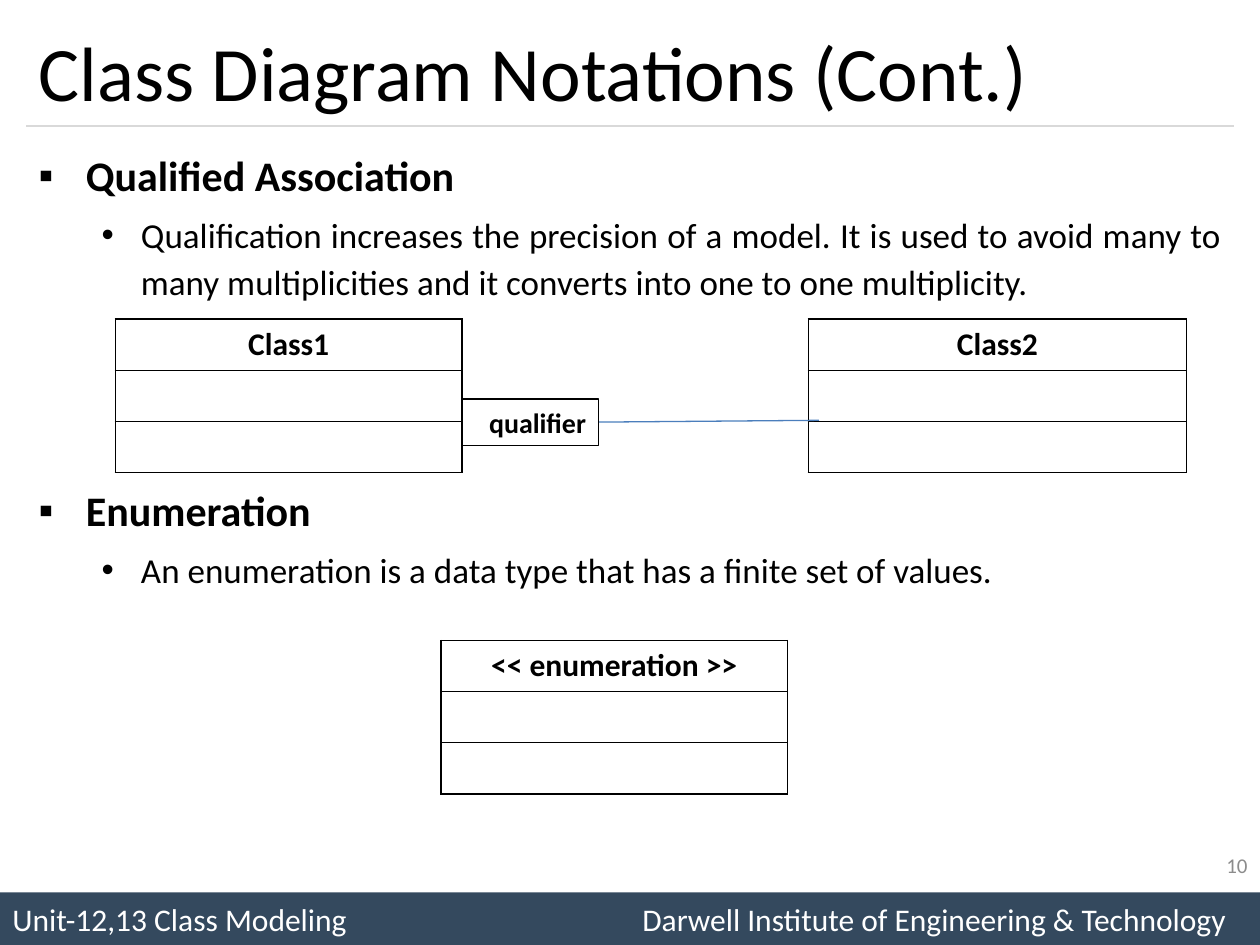
from lxml import etree
from pptx import Presentation
from pptx.dml.color import RGBColor
from pptx.enum.shapes import MSO_CONNECTOR, MSO_SHAPE
from pptx.enum.text import MSO_ANCHOR, PP_ALIGN
from pptx.oxml import parse_xml
from pptx.oxml.ns import nsdecls, qn
from pptx.util import Pt

LINE, RECT = MSO_CONNECTOR.STRAIGHT, MSO_SHAPE.RECTANGLE
TOP, MID = MSO_ANCHOR.TOP, MSO_ANCHOR.MIDDLE
LEFT, RIGHT = PP_ALIGN.LEFT, PP_ALIGN.RIGHT
CENTER, JUST = PP_ALIGN.CENTER, PP_ALIGN.JUSTIFY
FONT = "Calibri"
ROW = 29.2
COLORS = {"ink": "000000", "bar": "34495E", "white": "FFFFFF",
          "rule": "D9D9D9", "link": "4B7EBC", "page": "8C8C8C"}


def color(name):
    return RGBColor.from_string(COLORS[name])


def style(para, size, ink="ink", bold=False, align=LEFT):
    para.alignment = align
    font = para.font
    font.name, font.size, font.bold = FONT, Pt(size), bold
    font.color.rgb = color(ink)


def fill_text(shape, text, size, anchor=MID, **look):
    frame = shape.text_frame
    frame.word_wrap = True
    frame.vertical_anchor = anchor
    para = frame.paragraphs[0]
    para.text = text
    style(para, size, **look)
    return para


def add_text(slide, box, text, size, **look):
    shape = slide.shapes.add_textbox(*map(Pt, box))
    return fill_text(shape, text, size, **look)


def add_box(slide, box, fill=None, line=None):
    shape = slide.shapes.add_shape(RECT, *map(Pt, box))
    shape.shadow.inherit = False
    if fill:
        shape.fill.solid()
        shape.fill.fore_color.rgb = color(fill)
    else:
        shape.fill.background()
    if line:
        shape.line.color.rgb = color(line)
        shape.line.width = Pt(0.75)
    else:
        shape.line.fill.background()
    return shape


def add_line(slide, ends, ink):
    line = slide.shapes.add_connector(LINE, *map(Pt, ends))
    line.line.color.rgb = color(ink)
    line.line.width = Pt(0.75)
    etree.SubElement(line._element.spPr, qn("a:effectLst"))


def add_points(slide, box, points):
    """Bulleted body; each point is (level, text, space before)."""
    looks = [("▪", 24, True, 27, 27), ("•", 20, False, 58.5, 22.5)]
    frame = slide.shapes.add_textbox(*map(Pt, box)).text_frame
    frame.word_wrap = True
    for i, (level, text, gap) in enumerate(points):
        mark, size, bold, left, hang = looks[level]
        para = frame.add_paragraph() if i else frame.paragraphs[0]
        para.text, para.level = text, level
        style(para, size, bold=bold, align=JUST)
        para.line_spacing, para.space_before = 1.14, Pt(gap)
        props = para._p.get_or_add_pPr()
        props.set("marL", str(Pt(left)))
        props.set("indent", str(-Pt(hang)))
        etree.SubElement(props, qn("a:buFont"), typeface="Arial")
        etree.SubElement(props, qn("a:buChar"), char=mark)


def add_class(slide, left, top, width, name):
    """Class symbol: a name row above two empty rows."""
    frame = slide.shapes.add_table(3, 1, Pt(left), Pt(top), Pt(width), Pt(3 * ROW))
    table = frame.table
    table.horz_banding = False
    for i, row in enumerate(table.rows):
        row.height = Pt(ROW)
        cell = row.cells[0]
        cell.fill.background()
        para = cell.text_frame.paragraphs[0]
        para.text = "" if i else name
        style(para, 18, bold=True, align=CENTER)
        for k, side in enumerate("LRTB"):
            edge = parse_xml(
                f'<a:ln{side} {nsdecls("a")} w="{Pt(1)}"><a:solidFill>'
                f'<a:srgbClr val="{COLORS["ink"]}"/></a:solidFill></a:ln{side}>')
            cell._tc.get_or_add_tcPr().insert(k, edge)


def add_footer(slide):
    bar = add_box(slide, (0, 510, 720, 30), fill="bar")
    para = fill_text(
        bar, "Unit-12,13 Class Modeling\tDarwell Institute of Engineering & Technology",
        18, ink="white")
    tabs = etree.SubElement(para._p.get_or_add_pPr(), qn("a:tabLst"))
    etree.SubElement(tabs, qn("a:tab"), pos=str(Pt(360)), algn="l")


def main():
    deck = Presentation()
    deck.slide_width, deck.slide_height = Pt(720), Pt(540)
    slide = deck.slides.add_slide(deck.slide_layouts[6])

    # Frame of the slide
    add_footer(slide)
    add_line(slide, (15, 72, 705, 72), "rule")
    add_text(slide, (15, 9, 690, 63), "Class Diagram Notations (Cont.)", 44)
    add_text(slide, (552, 480, 168, 29), "10", 12, ink="page", align=RIGHT)

    # Body, with room for the first diagram above its second heading
    add_points(slide, (15, 78, 690, 420), [
        (0, "Qualified Association", 4.8),
        (1, "Qualification increases the precision of a model. It is used to avoid "
            "many to many multiplicities and it converts into one to one "
            "multiplicity.", 4),
        (0, "Enumeration", 100),
        (1, "An enumeration is a data type that has a finite set of values.", 4)])

    # Class diagrams
    add_class(slide, 252, 366, 198, "<< enumeration >>")
    add_class(slide, 66, 182.4, 198, "Class1")
    add_class(slide, 462, 182.4, 216, "Class2")

    # Qualifier and its association
    add_line(slide, (342, 241.2, 468, 240.2), "link")
    tag = add_box(slide, (264, 228, 78, 26.6), line="ink")
    fill_text(tag, "qualifier", 16, anchor=TOP, bold=True, align=RIGHT)

    deck.save("out.pptx")


if __name__ == "__main__":
    main()
